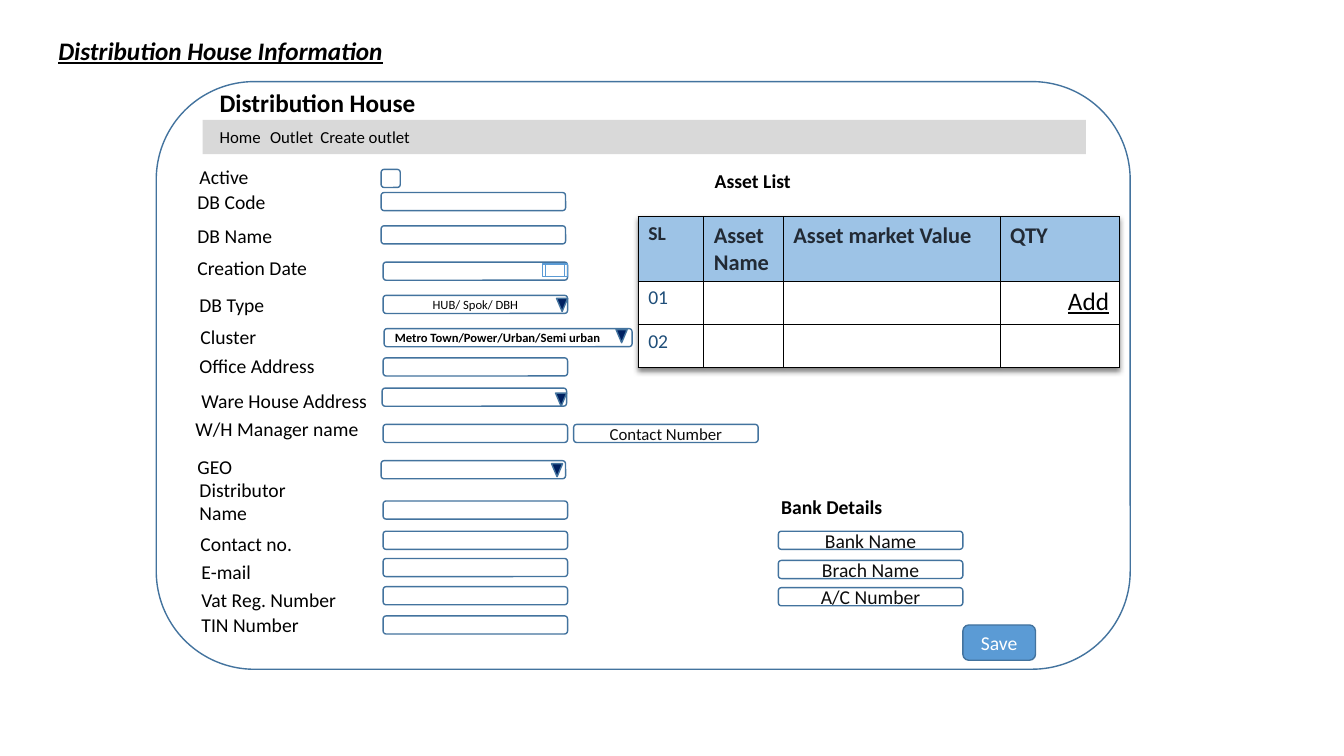
from lxml import etree
from pptx import Presentation
from pptx.dml.color import RGBColor
from pptx.enum.shapes import MSO_SHAPE as Kind
from pptx.enum.text import MSO_ANCHOR as Anchor, PP_ALIGN as Align
from pptx.oxml.ns import qn
from pptx.util import Inches, Pt

# The slide is a grid of 1333 columns by 750 rows
UNIT = Inches(0.01)
COLS, ROWS = 1333, 750

BLACK = RGBColor(0, 0, 0)
WHITE = RGBColor(255, 255, 255)
INK = RGBColor(0x0D, 0x0D, 0x0D)
GREY = RGBColor(0xD9, 0xD9, 0xD9)
EDGE = RGBColor(0x43, 0x73, 0x9E)
BLUE = RGBColor(0x5B, 0x9B, 0xD5)
NAVY = RGBColor(0x00, 0x20, 0x60)
SKY = RGBColor(0x9D, 0xC3, 0xE6)
SLATE = RGBColor(0x22, 0x2A, 0x35)
STEEL = RGBColor(0x1F, 0x4E, 0x79)

PANEL = (155, 81, 966, 583)
FIELD_W, FIELD_H = 183, 18

# Label, its left and middle; field left, top and width; arrow left and top
FORM = [
    ("Active", 33, 94, 223, 87, 19, None),
    ("DB Code", 31, 119, 223, 110, FIELD_W, None),
    ("DB Name", 31, 153, 223, 143, FIELD_W, None),
    ("Creation Date", 31, 185, 225, 179, FIELD_W, None),
    ("DB Type", 33, 221, 225, 212, FIELD_W, (397, 215)),
    ("Cluster", 34, 253, 226, 245, 246, (456, 246)),
    ("Office Address", 33, 282, 225, 274, FIELD_W, None),
    ("Ware House Address", 35, 317, 224, 304, FIELD_W, (396, 309)),
    ("W/H Manager name", 29, 344, 225, 340, FIELD_W, None),
    ("GEO", 31, 382, 223, 376, FIELD_W, (392, 379)),
    ("Distributor Name", 33, 416, 225, 416, FIELD_W, None),
    ("Contact no.", 34, 458, 225, 446, FIELD_W, None),
    ("E-mail", 35, 486, 225, 473, FIELD_W, None),
    ("Vat Reg. Number", 35, 514, 225, 501, FIELD_W, None),
    ("TIN Number", 35, 539, 225, 530, FIELD_W, None),
]
HINTS = {
    "DB Type": ("HUB/ Spok/ DBH", Align.CENTER, {"size": Pt(9)}),
    "Cluster": ("Metro Town/Power/Urban/Semi urban", Align.LEFT,
                {"size": Pt(9), "bold": True}),
}


def place(box, x, y, w, h):
    return box[0] + x, box[1] + y, w, h


def scale(box):
    return [UNIT * n for n in box]


def style(run, color=BLACK, **form):
    for key, val in ({"name": "Calibri", "size": Pt(14)} | form).items():
        setattr(run.font, key, val)
    run.font.color.rgb = color


def write(frame, text, align=Align.LEFT, color=BLACK, **form):
    frame.word_wrap = True
    frame.vertical_anchor = Anchor.MIDDLE
    frame.margin_top = frame.margin_bottom = 0
    par = frame.paragraphs[0]
    par.alignment = align
    run = par.add_run()
    run.text = text
    style(run, color, **form)
    return par


def label(slide, box, text, **form):
    shape = slide.shapes.add_textbox(*scale(box))
    return write(shape.text_frame, text, **form)


def draw(slide, box, kind=Kind.ROUNDED_RECTANGLE, fill=None, line=EDGE):
    shape = slide.shapes.add_shape(kind, *scale(box))
    shape.shadow.inherit = False
    if fill is None:
        shape.fill.background()
    else:
        shape.fill.solid()
        shape.fill.fore_color.rgb = fill
    if line is None:
        shape.line.fill.background()
    else:
        shape.line.color.rgb = line
        shape.line.width = Pt(1)
    return shape


def header(slide, box):
    label(slide, place(box, 53, -1, 230, 43), "Distribution House",
          size=Pt(18), bold=True)
    bar = draw(slide, place(box, 46, 38, 876, 34), Kind.RECTANGLE, GREY, None)
    par = write(bar.text_frame, "Home\tOutlet\tCreate outlet", size=Pt(12))
    # Menu stops
    props = par._p.get_or_add_pPr()
    props.set("marL", str(UNIT * 7))
    props.set("indent", "0")
    tabs = etree.SubElement(props, qn("a:tabLst"))
    for stop in (62, 124):
        etree.SubElement(tabs, qn("a:tab"), pos=str(UNIT * stop), algn="l")


def form(slide, box):
    for name, left, mid, x, y, width, arrow in FORM:
        span = 148 if name == "Distributor Name" else 194
        label(slide, place(box, left, mid - 15, span, 30), name)
        field = draw(slide, place(box, x, y, width, FIELD_H))
        if name in HINTS:
            text, align, look = HINTS[name]
            write(field.text_frame, text, align, **look)
        if arrow:
            mark = draw(slide, place(box, *arrow, 11, 13),
                        Kind.ISOSCELES_TRIANGLE, NAVY)
            mark.rotation = 180
    # Date picker and contact field
    draw(slide, place(box, 383, 181, 25, 12),
         Kind.FLOWCHART_PREDEFINED_PROCESS, line=BLUE)
    phone = draw(slide, place(box, 414, 340, FIELD_W, FIELD_H))
    write(phone.text_frame, "Contact Number", Align.CENTER, INK, size=Pt(12))


def border(cell):
    props = cell._tc.get_or_add_tcPr()
    for spot, side in enumerate(("lnL", "lnR", "lnT", "lnB")):
        line = etree.Element(qn("a:" + side), w=str(Pt(1)))
        fill = etree.SubElement(line, qn("a:solidFill"))
        etree.SubElement(fill, qn("a:srgbClr"), val=str(BLACK))
        props.insert(spot, line)


def assets(slide, box):
    label(slide, place(box, 544, 83, 203, 30), "Asset List", bold=True)
    head = {"color": SLATE, "size": Pt(16), "bold": True}
    num = {"color": STEEL}
    cells = {
        (0, 0): ("SL", head | {"size": Pt(14)}),
        (0, 1): ("Asset Name", head),
        (0, 2): ("Asset market Value", head),
        (0, 3): ("QTY", head),
        (1, 0): ("01", num),
        (1, 3): ("Add", {"size": Pt(18), "underline": True}),
        (2, 0): ("02", num),
    }
    widths, heights = (65, 79, 215, 118), (64, 43, 43)
    area = place(box, 478, 134, sum(widths), sum(heights))
    table = slide.shapes.add_table(3, 4, *scale(area)).table
    table.first_row = table.horz_banding = False
    for col, width in zip(table.columns, widths):
        col.width = UNIT * width
    for r, height in enumerate(heights):
        table.rows[r].height = UNIT * height
        for c in range(len(widths)):
            cell = table.cell(r, c)
            cell.fill.solid()
            cell.fill.fore_color.rgb = WHITE if r else SKY
            border(cell)
            if (r, c) in cells:
                text, look = cells[r, c]
                par = cell.text_frame.paragraphs[0]
                par.alignment = Align.RIGHT if text == "Add" else Align.LEFT
                run = par.add_run()
                run.text = text
                style(run, **look)
    # Soft shadow below the table
    effects = etree.Element(qn("a:effectLst"))
    shade = etree.SubElement(effects, qn("a:outerShdw"), blurRad=str(Pt(4)),
                             dist=str(Pt(2)), dir="5400000")
    tint = etree.SubElement(shade, qn("a:srgbClr"), val=str(BLACK))
    etree.SubElement(tint, qn("a:alpha"), val="50000")
    table._tbl.tblPr.insert(0, effects)


def bank(slide, box):
    label(slide, place(box, 610, 407, 148, 30), "Bank Details", bold=True)
    for text, y in (("Bank Name", 446), ("Brach Name", 475), ("A/C Number", 502)):
        field = draw(slide, place(box, 617, y, FIELD_W, FIELD_H))
        write(field.text_frame, text, Align.CENTER, INK)
    save = draw(slide, place(box, 800, 539, 72, 35), fill=BLUE)
    write(save.text_frame, "Save", Align.CENTER, WHITE)


def main():
    deck = Presentation()
    deck.slide_width, deck.slide_height = UNIT * COLS, UNIT * ROWS
    slide = deck.slides.add_slide(deck.slide_layouts[6])
    title = label(slide, (48, 22, 1150, 59), "Distribution House Information",
                  size=Pt(18), bold=True, italic=True, underline=True)
    title.line_spacing = 0.9
    draw(slide, PANEL)
    for part in (header, form, assets, bank):
        part(slide, PANEL)
    deck.save("out.pptx")


if __name__ == "__main__":
    main()
